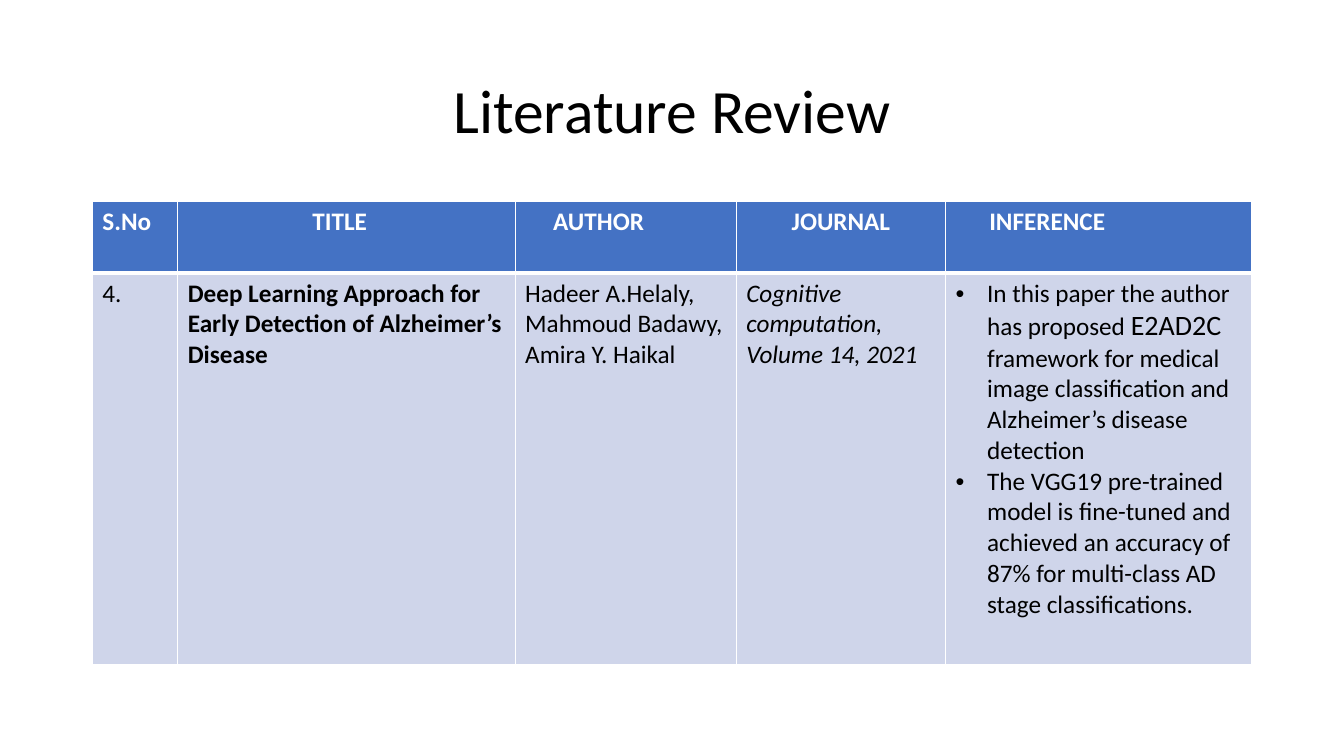
from dataclasses import dataclass

import lxml.etree
import pptx
import pptx.dml.color
import pptx.enum.text
import pptx.oxml.ns
import pptx.util

Pt = pptx.util.Pt
RGB = pptx.dml.color.RGBColor
Align = pptx.enum.text.PP_ALIGN
qn = pptx.oxml.ns.qn


@dataclass(frozen=True)
class Theme:
    font: str = "Calibri"
    title_size: float = 44
    body_size: float = 18
    term_size: float = 20
    black: str = "000000"
    white: str = "FFFFFF"
    header_fill: str = "4472C4"
    body_fill: str = "CFD5EA"
    thin: float = 1
    thick: float = 3


THEME = Theme()


@dataclass(frozen=True)
class Span:
    text: str
    size: float = THEME.body_size
    bold: bool = False
    italic: bool = False
    color: str = THEME.black


@dataclass(frozen=True)
class Para:
    spans: tuple[Span, ...]
    align: Align = Align.LEFT
    indent: float = 0
    bullet: bool = False


@dataclass(frozen=True)
class Column:
    width: float
    header: Para
    body: tuple[Para, ...]


def heading(text: str, indent: float = 0, align: Align = Align.LEFT) -> Para:
    return Para((Span(text, bold=True, color=THEME.white),), align, indent)


def entry(text: str, bold: bool = False, italic: bool = False) -> tuple[Para, ...]:
    return (Para((Span(text, bold=bold, italic=italic),)),)


def bullet(*spans: Span) -> Para:
    return Para(spans, indent=22.5, bullet=True)


COLUMNS = (
    Column(61, heading("S.No"), entry("4.")),
    Column(241, heading("TITLE", 89),
           entry("Deep Learning Approach for Early Detection of Alzheimer’s Disease", bold=True)),
    Column(158, heading("AUTHOR", 20),
           entry("Hadeer A.Helaly, Mahmoud Badawy, Amira Y. Haikal")),
    Column(149.5, heading("JOURNAL", align=Align.CENTER),
           entry("Cognitive computation, Volume 14, 2021", italic=True)),
    Column(218.5, heading("INFERENCE", 24), (
        bullet(Span("In this paper the author has proposed "),
               Span("E2AD2C", THEME.term_size),
               Span(" framework for medical image classification and Alzheimer’s disease detection")),
        bullet(Span("The VGG19 pre-trained model is fine-tuned and achieved an accuracy of "
                    "87% for multi-class AD stage classifications.")),
    )),
)
ROW_HEIGHTS = (51, 279.5)


def write(tf: pptx.text.text.TextFrame, paras: tuple[Para, ...]) -> None:
    for i, para in enumerate(paras):
        p = tf.add_paragraph() if i else tf.paragraphs[0]
        p.alignment = para.align
        pPr = p._p.get_or_add_pPr()
        if para.indent:
            pPr.set("marL", str(int(Pt(para.indent))))
        if para.bullet:
            pPr.set("indent", str(-int(Pt(para.indent))))
            lxml.etree.SubElement(pPr, qn("a:buFont")).set("typeface", "Arial")
            lxml.etree.SubElement(pPr, qn("a:buChar")).set("char", "•")
        for span in para.spans:
            r = p.add_run()
            r.text = span.text
            r.font.name = THEME.font
            r.font.size = Pt(span.size)
            r.font.bold = span.bold
            r.font.italic = span.italic
            r.font.color.rgb = RGB.from_string(span.color)


def set_borders(cell: pptx.table._Cell, top: float, bottom: float) -> None:
    tcPr = cell._tc.get_or_add_tcPr()
    widths = {"a:lnL": THEME.thin, "a:lnR": THEME.thin, "a:lnT": top, "a:lnB": bottom}
    for i, (tag, width) in enumerate(widths.items()):
        ln = lxml.etree.Element(qn(tag), w=str(int(Pt(width))))
        fill = lxml.etree.SubElement(ln, qn("a:solidFill"))
        lxml.etree.SubElement(fill, qn("a:srgbClr")).set("val", THEME.white)
        tcPr.insert(i, ln)


def fill_cell(cell: pptx.table._Cell, paras: tuple[Para, ...], color: str,
              top: float, bottom: float) -> None:
    cell.fill.solid()
    cell.fill.fore_color.rgb = RGB.from_string(color)
    set_borders(cell, top, bottom)
    write(cell.text_frame, paras)


def add_title(s: pptx.slide.Slide) -> None:
    sp = s.shapes.add_textbox(Pt(66), Pt(29), Pt(828), Pt(104))
    tf = sp.text_frame
    tf.word_wrap = True
    tf.vertical_anchor = pptx.enum.text.MSO_ANCHOR.MIDDLE
    write(tf, (Para((Span("Literature Review", THEME.title_size),), Align.CENTER),))
    tf.paragraphs[0].line_spacing = 0.9


def add_review_table(s: pptx.slide.Slide) -> None:
    width = sum(column.width for column in COLUMNS)
    sp = s.shapes.add_table(len(ROW_HEIGHTS), len(COLUMNS),
                            Pt(66), Pt(144), Pt(width), Pt(sum(ROW_HEIGHTS)))
    table = sp.table
    for row, height in zip(table.rows, ROW_HEIGHTS):
        row.height = Pt(height)
    for i, column in enumerate(COLUMNS):
        table.columns[i].width = Pt(column.width)
        fill_cell(table.cell(0, i), (column.header,), THEME.header_fill, THEME.thin, THEME.thick)
        fill_cell(table.cell(1, i), column.body, THEME.body_fill, THEME.thick, THEME.thin)


def main() -> None:
    prs = pptx.Presentation()
    prs.slide_width, prs.slide_height = Pt(960), Pt(540)
    s = prs.slides.add_slide(prs.slide_layouts[6])
    add_title(s)
    add_review_table(s)
    prs.save("out.pptx")


if __name__ == "__main__":
    main()
